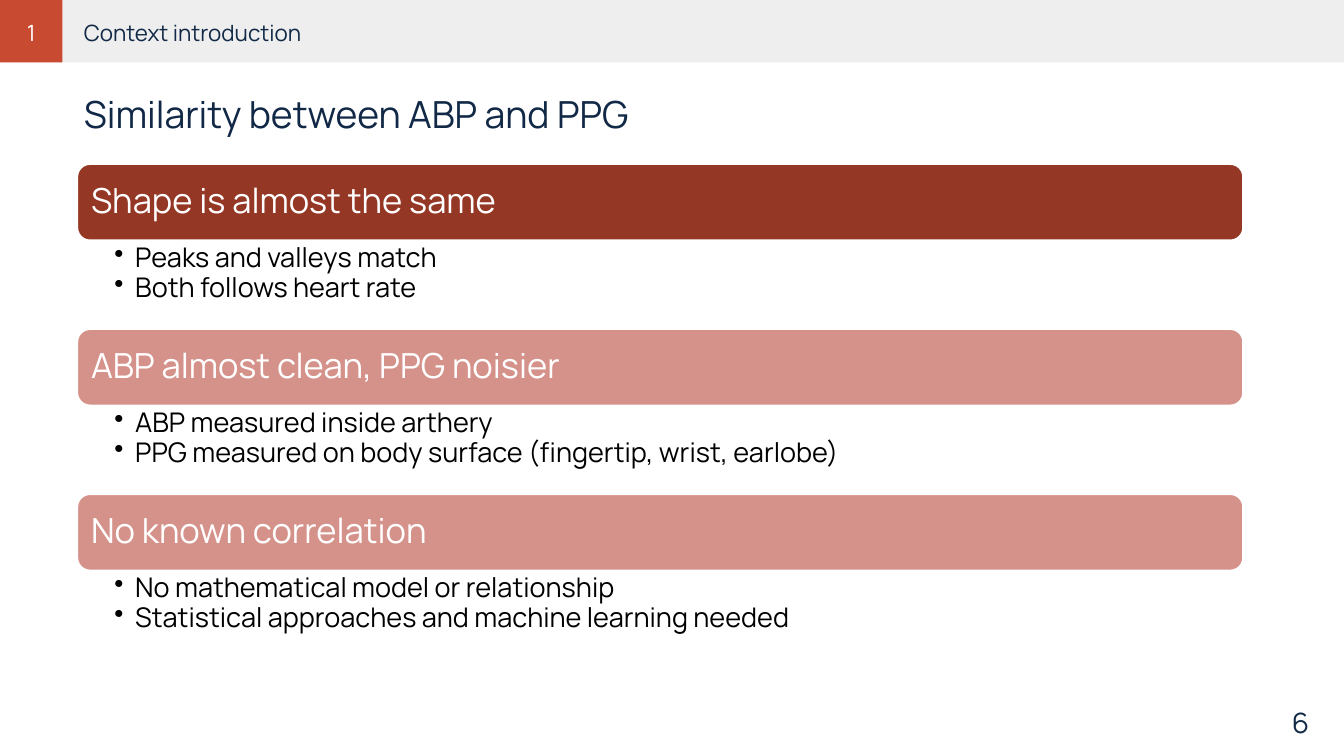
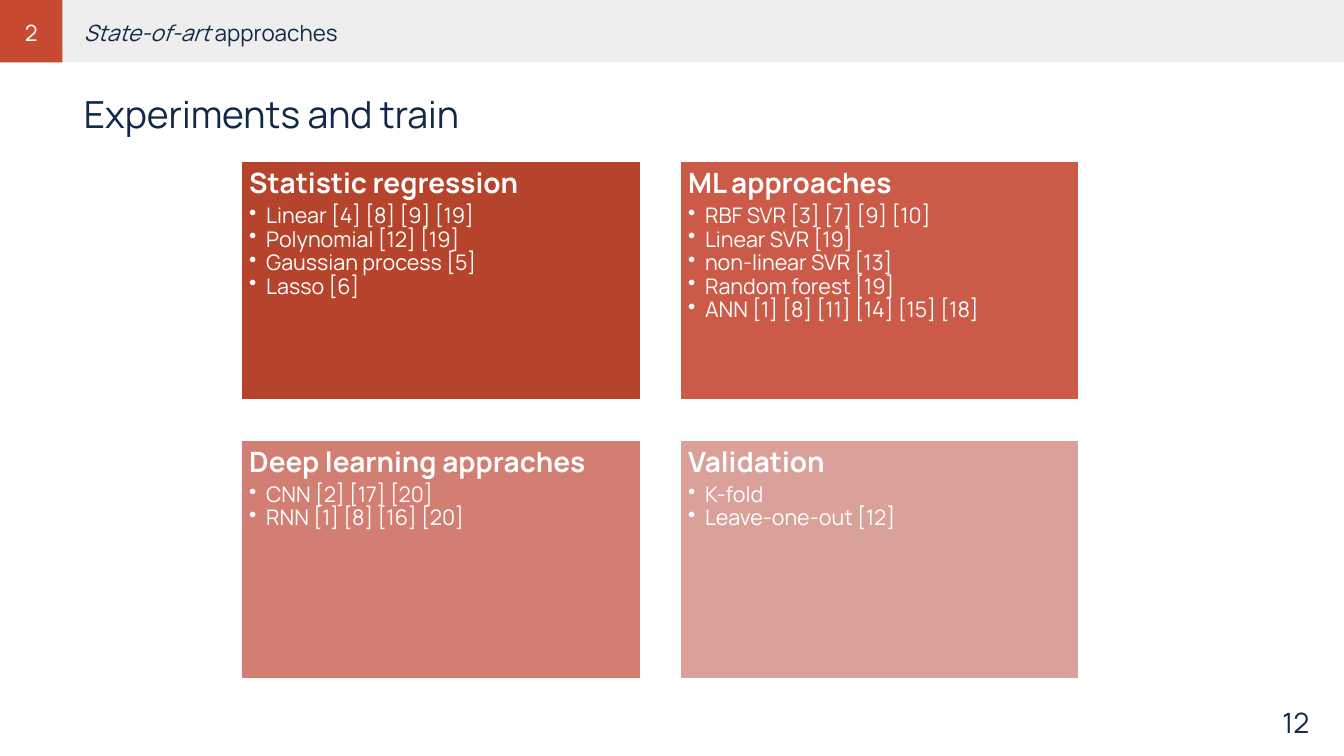
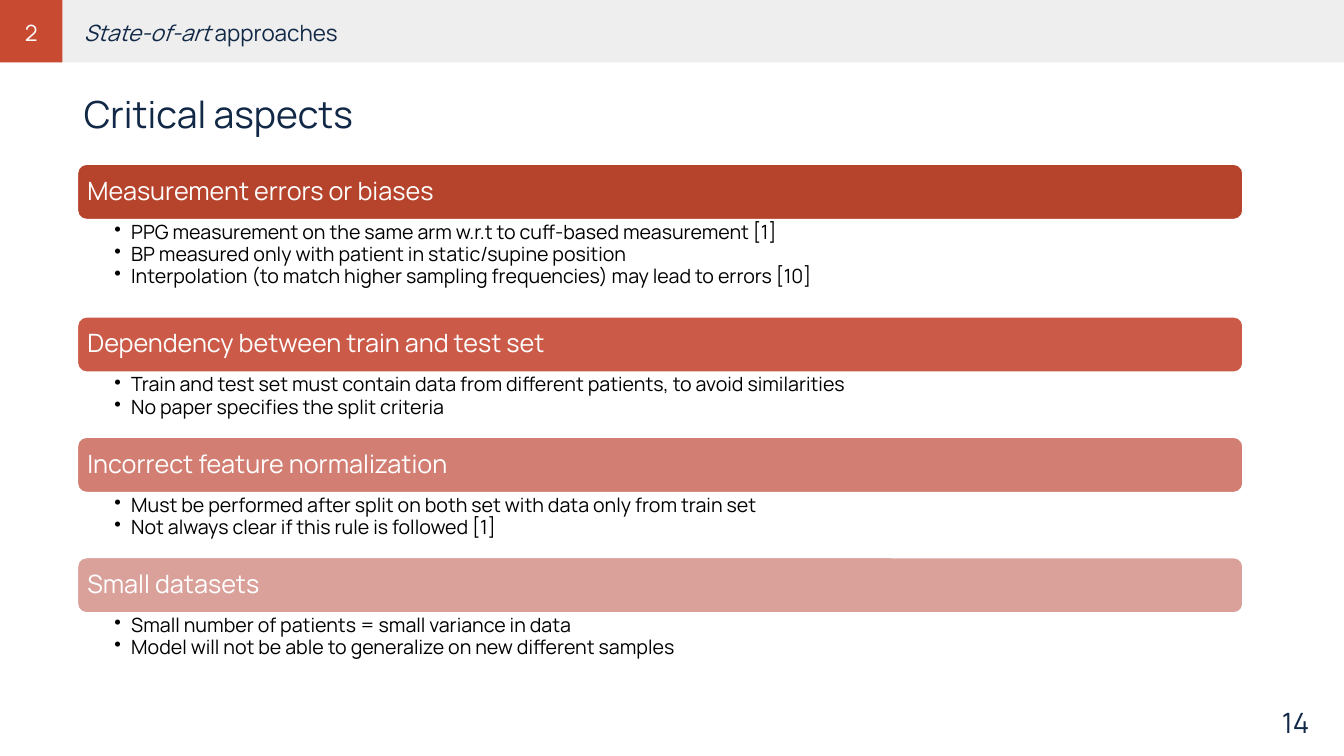
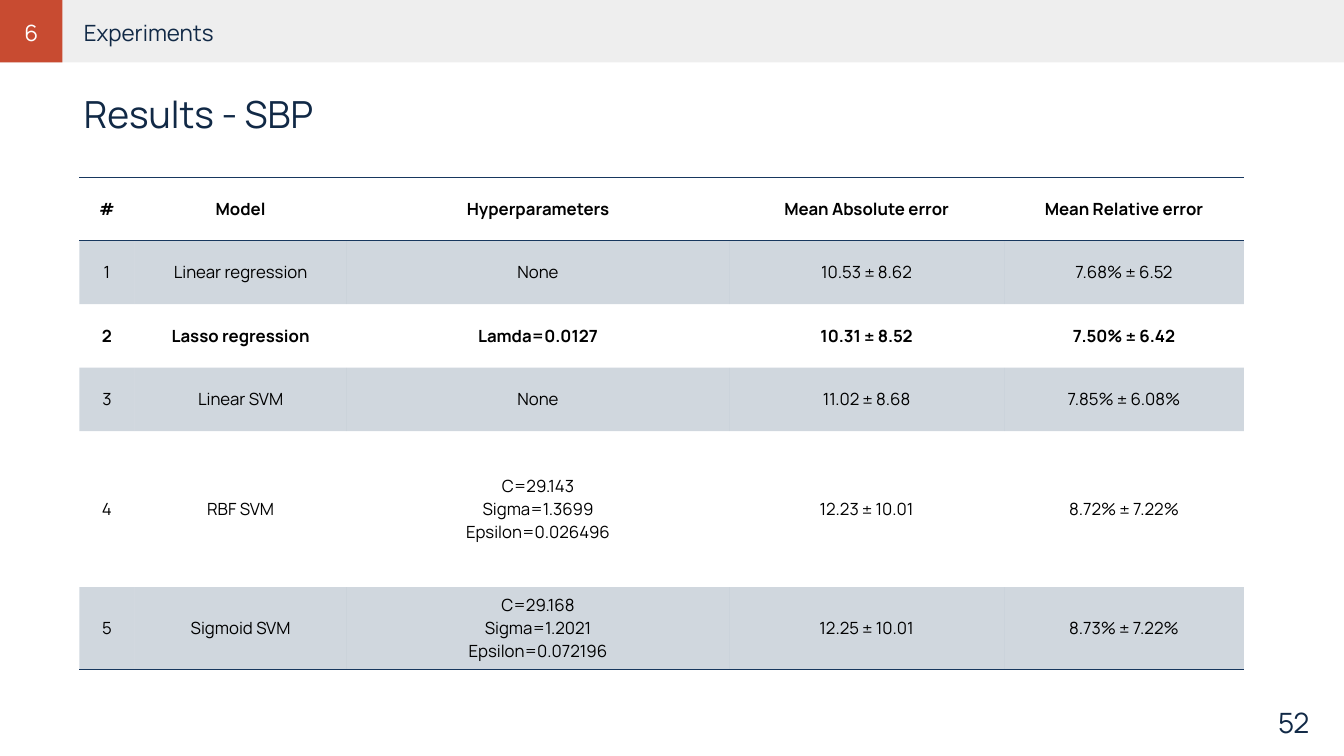
from lxml.etree import SubElement
from pptx import Presentation
from pptx.dml.color import RGBColor
from pptx.enum.shapes import MSO_SHAPE as Shape
from pptx.enum.text import MSO_ANCHOR as Anchor, PP_ALIGN as Align
from pptx.oxml import parse_xml
from pptx.oxml.ns import nsdecls, qn
from pptx.util import Cm, Pt

FONT = "Manrope"
COLORS = {
    "navy": "112946", "white": "FFFFFF", "black": "000000",
    "bar": "EEEEEE", "accent": "C84B31", "rule": "17375E",
    "dark": "943724", "pale": "D5928A",
    "shade1": "B6442C", "shade2": "CB5B48", "shade3": "D27E73", "shade4": "DAA19B",
}
SHADES = ["shade1", "shade2", "shade3", "shade4"]
PAGE_WIDTH, PAGE_HEIGHT = 50.8, 28.58
BAR_HEIGHT = 2.36
LEFT, WIDTH = 2.92, 44.07
NO_STYLE = "{2D5ABB26-0587-4C30-8999-92F81FD0307C}"


def rgb(name):
    return RGBColor.from_string(COLORS[name])


# Text
def add_text(frame, text, size, color="navy", lead="", bold=False, align=Align.LEFT,
             bullet=0, line=None, after=None):
    """Add one paragraph; lead is an italic opening, bullet the hanging indent in cm."""
    para = frame.paragraphs[0]
    if para.runs:
        para = frame.add_paragraph()
    para.alignment = align
    if bullet:
        para.level = 1
        properties = para._p.get_or_add_pPr()
        properties.set("marL", str(Cm(bullet)))
        properties.set("indent", str(-Cm(bullet)))
        SubElement(properties, qn("a:buChar")).set("char", "•")
    if line:
        para.line_spacing = line
    if after is not None:
        para.space_after = Pt(after)
    for part, italic in ((lead, True), (text, False)):
        if part:
            span = para.add_run()
            span.text = part
            span.font.name = FONT
            span.font.size = Pt(size)
            span.font.bold = bold
            span.font.italic = italic
            span.font.color.rgb = rgb(color)


def set_frame(frame, insets, anchor):
    frame.word_wrap = True
    frame.vertical_anchor = anchor
    frame.margin_left, frame.margin_top, frame.margin_right, frame.margin_bottom = map(Cm, insets)
    return frame


def add_box(page, left, top, width, height, insets=(0.25, 0.13, 0.25, 0.13), anchor=Anchor.TOP):
    box = page.shapes.add_textbox(Cm(left), Cm(top), Cm(width), Cm(height))
    return set_frame(box.text_frame, insets, anchor)


def add_block(page, kind, left, top, width, height, fill, inset=0.25, anchor=Anchor.MIDDLE,
              outlined=True):
    block = page.shapes.add_shape(kind, Cm(left), Cm(top), Cm(width), Cm(height))
    block.shadow.inherit = False
    block.fill.solid()
    block.fill.fore_color.rgb = rgb(fill)
    if outlined:
        block.line.color.rgb = rgb("white")
        block.line.width = Pt(2)
    else:
        block.line.fill.background()
    return set_frame(block.text_frame, [inset] * 4, anchor)


# Shared page: bar, section number, section name, title and page number
def add_page(deck, number, section, name, title, lead=""):
    page = deck.slides.add_slide(deck.slide_layouts[6])
    for width, fill in ((PAGE_WIDTH, "bar"), (BAR_HEIGHT, "accent")):
        add_block(page, Shape.RECTANGLE, 0, 0, width, BAR_HEIGHT, fill, outlined=False)
    add_text(add_box(page, 43.82, 26.8, 5.92, 1.02, anchor=Anchor.MIDDLE),
             number, 30, align=Align.RIGHT)
    add_text(add_box(page, LEFT, 0.58, WIDTH, 1.14), name, 24, lead=lead)
    add_text(add_box(page, 0.28, 0.58, 1.8, 1.14), section, 24, "white", align=Align.CENTER)
    add_text(add_box(page, LEFT, 3.3, WIDTH, 1.85), title, 40)
    return page


# Stacked headings, each with its points below
def add_sections(page, sections, fills, head_height, head_size, head_inset,
                 point_size, point_heights, point_insets, bullet):
    top = 6.2
    for (heading, points), fill in zip(sections, fills):
        head = add_block(page, Shape.ROUNDED_RECTANGLE, LEFT, top, WIDTH, head_height,
                         fill, head_inset)
        add_text(head, heading, head_size, "white", line=0.9)
        top += head_height
        height = point_heights[len(points)]
        body = add_box(page, LEFT, top, WIDTH, height, point_insets)
        for point in points:
            add_text(body, point, point_size, "black", bullet=bullet, line=0.9, after=1)
        top += height


# Two-by-two grid of cards
def add_cards(page, cards):
    width, height, gap = 15.09, 9.04, 1.5
    for index, ((heading, points), fill) in enumerate(zip(cards, SHADES)):
        row, column = divmod(index, 2)
        card = add_block(page, Shape.RECTANGLE, 9.12 + column * (width + gap),
                         6.1 + row * (height + gap), width, height, fill, 0.3, Anchor.TOP)
        add_text(card, heading, 30, "white", bold=True, line=0.9, after=6)
        for point in points:
            add_text(card, point, 23, "white", bullet=0.64, line=0.9, after=0.3)


# Results table
def style_cell(cell, shaded, rules):
    cell.vertical_anchor = Anchor.MIDDLE
    properties = cell._tc.get_or_add_tcPr()
    if shaded:
        cell.fill.solid()
        cell.fill.fore_color.rgb = rgb("rule")
        tint = properties.find(".//" + qn("a:srgbClr"))
        SubElement(tint, qn("a:alpha")).set("val", "20000")
    else:
        cell.fill.background()
    for index, side in enumerate(rules):
        properties.insert(index, parse_xml(
            f'<a:{side} {nsdecls("a")} w="{Pt(1)}"><a:solidFill>'
            f'<a:srgbClr val="{COLORS["rule"]}"/></a:solidFill></a:{side}>'))


def add_results(page, rows, widths, heights, bold_rows):
    frame = page.shapes.add_table(len(rows), len(widths), Cm(3), Cm(6.7),
                                  Cm(sum(widths)), Cm(sum(heights)))
    table = frame.table
    table.first_row = table.horz_banding = False
    table._tbl.tblPr.find(qn("a:tableStyleId")).text = NO_STYLE
    for column, width in zip(table.columns, widths):
        column.width = Cm(width)
    rules = {0: ["lnT", "lnB"], len(rows) - 1: ["lnB"]}
    for index, (values, height) in enumerate(zip(rows, heights)):
        table.rows[index].height = Cm(height)
        for column, value in enumerate(values):
            cell = table.cell(index, column)
            style_cell(cell, index % 2 == 1, rules.get(index, []))
            for text in value.split("\n"):
                add_text(cell.text_frame, text, 18, "black", bold=index in bold_rows,
                         align=Align.CENTER)


def main():
    deck = Presentation()
    deck.slide_width, deck.slide_height = Cm(PAGE_WIDTH), Cm(PAGE_HEIGHT)

    # Similarity
    page = add_page(deck, "6", "1", "Context introduction", "Similarity between ABP and PPG")
    add_sections(page, [
        ("Shape is almost the same", ["Peaks and valleys match", "Both follows heart rate"]),
        ("ABP almost clean, PPG noisier", [
            "ABP measured inside arthery",
            "PPG measured on body surface (fingertip, wrist, earlobe)"]),
        ("No known correlation", [
            "No mathematical model or relationship",
            "Statistical approaches and machine learning needed"]),
    ], ["dark", "pale", "pale"], head_height=2.89, head_size=37, head_inset=0.38,
        point_size=29, point_heights={2: 3.35}, point_insets=(1.4, 0.13, 0.74, 0.13),
        bullet=0.79)

    # Experiments and train
    state_of_art = {"section": "2", "lead": "State-of-art ", "name": "approaches"}
    page = add_page(deck, "12", title="Experiments and train", **state_of_art)
    add_cards(page, [
        ("Statistic regression", [
            "Linear [4] [8] [9] [19]", "Polynomial [12] [19]",
            "Gaussian process [5]", "Lasso [6]"]),
        ("ML approaches", [
            "RBF SVR [3] [7] [9] [10]", "Linear SVR [19]", "non-linear SVR [13]",
            "Random forest [19]", "ANN [1] [8] [11] [14] [15] [18]"]),
        ("Deep learning appraches", ["CNN [2] [17] [20]", "RNN [1] [8] [16] [20]"]),
        ("Validation", ["K-fold", "Leave-one-out [12]"]),
    ])

    # Critical aspects
    page = add_page(deck, "14", title="Critical aspects", **state_of_art)
    add_sections(page, [
        ("Measurement errors or biases", [
            "PPG measurement on the same arm w.r.t to cuff-based measurement [1]",
            "BP measured only with patient in static/supine position",
            "Interpolation (to match higher sampling frequencies) may lead to errors [10]"]),
        ("Dependency between train and test set", [
            "Train and test set must contain data from different patients, to avoid similarities",
            "No paper specifies the split criteria"]),
        ("Incorrect feature normalization", [
            "Must be performed after split on both set with data only from train set",
            "Not always clear if this rule is followed [1]"]),
        ("Small datasets", [
            "Small number of patients = small variance in data",
            "Model will not be able to generalize on new different samples"]),
    ], SHADES, head_height=2.11, head_size=27, head_inset=0.28,
        point_size=21, point_heights={2: 2.44, 3: 3.66}, point_insets=(1.4, 0.1, 0.53, 0.1),
        bullet=0.64)

    # Results
    page = add_page(deck, "52", "6", "Experiments", "Results - SBP")
    add_results(page, [
        ["#", "Model", "Hyperparameters", "Mean Absolute error", "Mean Relative error"],
        ["1", "Linear regression", "None", "10.53 ± 8.62", "7.68% ± 6.52"],
        ["2", "Lasso regression", "Lamda=0.0127", "10.31 ± 8.52", "7.50% ± 6.42"],
        ["3", "Linear SVM", "None", "11.02 ± 8.68", "7.85% ± 6.08%"],
        ["4", "RBF SVM", "C=29.143\nSigma=1.3699\nEpsilon=0.026496",
         "12.23 ± 10.01", "8.72% ± 7.22%"],
        ["5", "Sigmoid SVM", "C=29.168\nSigma=1.2021\nEpsilon=0.072196",
         "12.25 ± 10.01", "8.73% ± 7.22%"],
    ], widths=[2.08, 8.03, 14.45, 10.39, 9.07], heights=[2.4] * 4 + [5.9, 3.1],
        bold_rows=(0, 2))

    deck.save("out.pptx")


if __name__ == "__main__":
    main()
